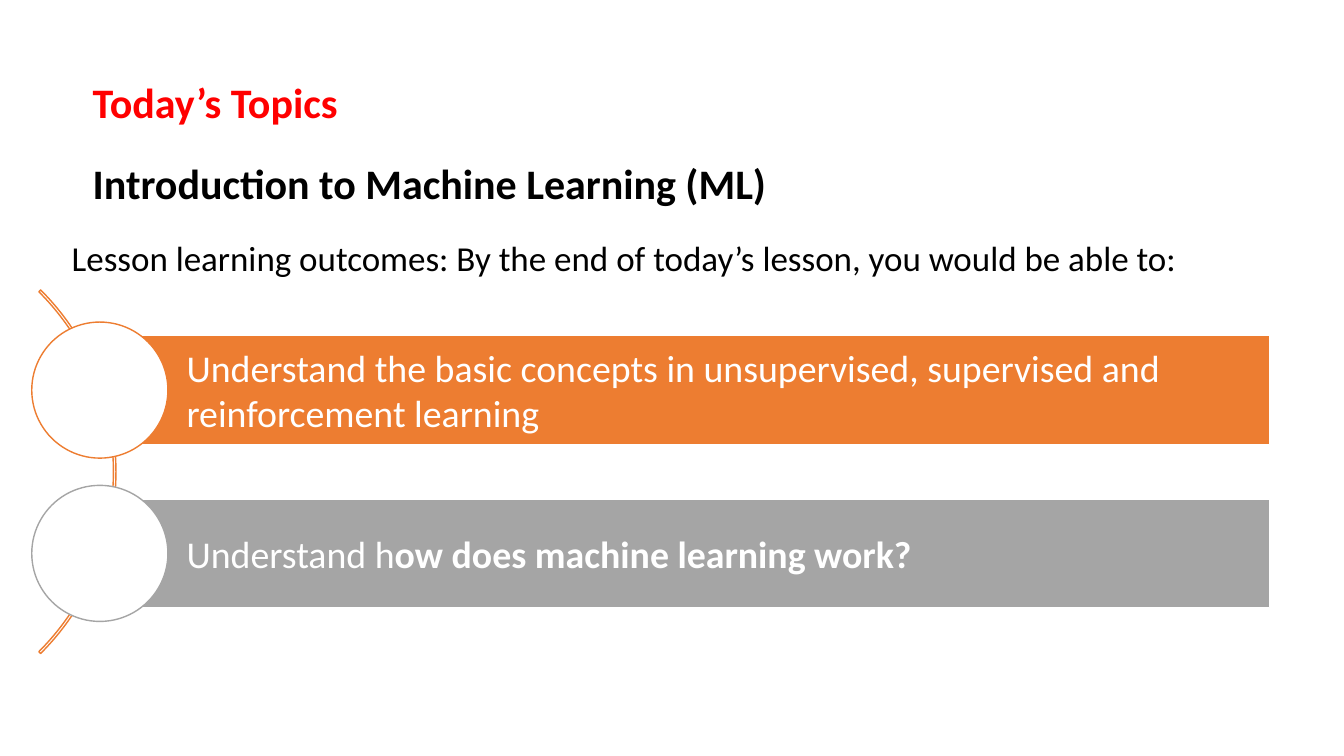
from pptx import Presentation
from pptx import util as u
from pptx.dml.color import RGBColor
from pptx.enum import shapes, text
from pptx.oxml.ns import qn

COLORS = {"red": "FF0000", "black": "000000", "white": "FFFFFF",
          "orange": "ED7D31", "gray": "A5A5A5"}


class SlideBuilder:
    """Holds the style and the current slide; places are percent of the slide."""
    font = "Calibri"

    def __init__(self, prs, layout):
        self.prs = prs
        self.s = prs.slides.add_slide(prs.slide_layouts[layout])

    def color(self, name):
        return RGBColor.from_string(COLORS[name])

    def box(self, x, y, w, h):
        width, height = self.prs.slide_width, self.prs.slide_height
        return [round(v * side / 100) for v, side in
                ((x, width), (y, height), (w, width), (h, height))]

    def format_paragraph(self, p, size, color, bold=False):
        p.alignment = text.PP_ALIGN.LEFT
        p.space_before = u.Pt(0)
        for r in p.runs:
            r.font.name, r.font.size, r.font.bold = self.font, u.Pt(size), bold
            r.font.color.rgb = self.color(color)

    def placeholder(self, sp, place, content, anchor):
        sp.left, sp.top, sp.width, sp.height = self.box(*place)
        tf = sp.text_frame
        tf.text = content
        tf.word_wrap = True
        tf.auto_size = text.MSO_AUTO_SIZE.NONE
        tf.vertical_anchor = anchor
        return tf

    def title(self, place, lines, size, gap):
        tf = self.placeholder(self.s.shapes.title, place,
                              "\n".join(line for line, _ in lines),
                              text.MSO_ANCHOR.TOP)
        for i, (p, (_, color)) in enumerate(zip(tf.paragraphs, lines)):
            self.format_paragraph(p, size, color, bold=True)
            p.space_before = u.Pt(gap if i else 0)

    def lead_in(self, place, content, size):
        tf = self.placeholder(self.s.placeholders[1], place, content,
                              text.MSO_ANCHOR.MIDDLE)
        p = tf.paragraphs[0]
        pPr = p._p.get_or_add_pPr()
        pPr.set("marL", "0")
        pPr.set("indent", "0")
        pPr.append(pPr.makeelement(qn("a:buNone"), {}))
        self.format_paragraph(p, size, "black")
        p.line_spacing = 0.9

    def shape(self, kind, place, line, fill=None):
        sp = self.s.shapes.add_shape(kind, *self.box(*place))
        sp.shadow.inherit = False
        sp.line.color.rgb = self.color(line)
        sp.line.width = u.Pt(1)
        if fill:
            sp.fill.solid()
            sp.fill.fore_color.rgb = self.color(fill)
        else:
            sp.fill.background()
        return sp

    def arc(self, place):
        sp = self.shape(shapes.MSO_SHAPE.BLOCK_ARC, place, "orange")
        for i, value in enumerate((189, 27, 0.005)):
            sp.adjustments[i] = value

    def outcome(self, place, runs, color, circle_size):
        # Bar with its text
        sp = self.shape(shapes.MSO_SHAPE.RECTANGLE, place, "white", color)
        tf = sp.text_frame
        tf.word_wrap = True
        tf.vertical_anchor = text.MSO_ANCHOR.MIDDLE
        tf.margin_left = u.Inches(0.86)
        tf.margin_top = tf.margin_right = tf.margin_bottom = u.Inches(0.07)
        p = tf.paragraphs[0]
        for content, _ in runs:
            p.add_run().text = content
        self.format_paragraph(p, 27, "white")
        for r, (_, bold) in zip(p.runs, runs):
            r.font.bold = bold
        # Circle centred on the bar's left edge
        x, y, _, h = place
        cw, ch = circle_size
        self.shape(shapes.MSO_SHAPE.OVAL,
                   (x - cw / 2, y + h / 2 - ch / 2, cw, ch), color, "white")


def main():
    prs = Presentation()
    prs.slide_width, prs.slide_height = u.Inches(13.33), u.Inches(7.5)
    slide = SlideBuilder(prs, layout=1)

    # Headings
    slide.title((6.15, 9.47, 58.21, 18.8),
                [("Today’s Topics", "red"),
                 ("Introduction to Machine Learning (ML)", "black")],
                size=30, gap=22)
    slide.lead_in((4.58, 30.8, 83.95, 7.33),
                  "Lesson learning outcomes: By the end of today’s lesson, "
                  "you would be able to:", size=25)

    # Learning outcomes along the arc
    slide.arc((-29.63, 28.4, 38.26, 68))
    outcomes = [
        ("orange", [("Understand the basic concepts in unsupervised, "
                     "supervised and reinforcement learning", False)]),
        ("gray", [("Understand h", False),
                  ("ow does machine learning work?", True)]),
    ]
    for i, (color, runs) in enumerate(outcomes):
        slide.outcome((7.43, 44.4 + 21.6 * i, 87.02, 14.4), runs, color,
                      circle_size=(10.13, 18))

    prs.save("out.pptx")


if __name__ == "__main__":
    main()
